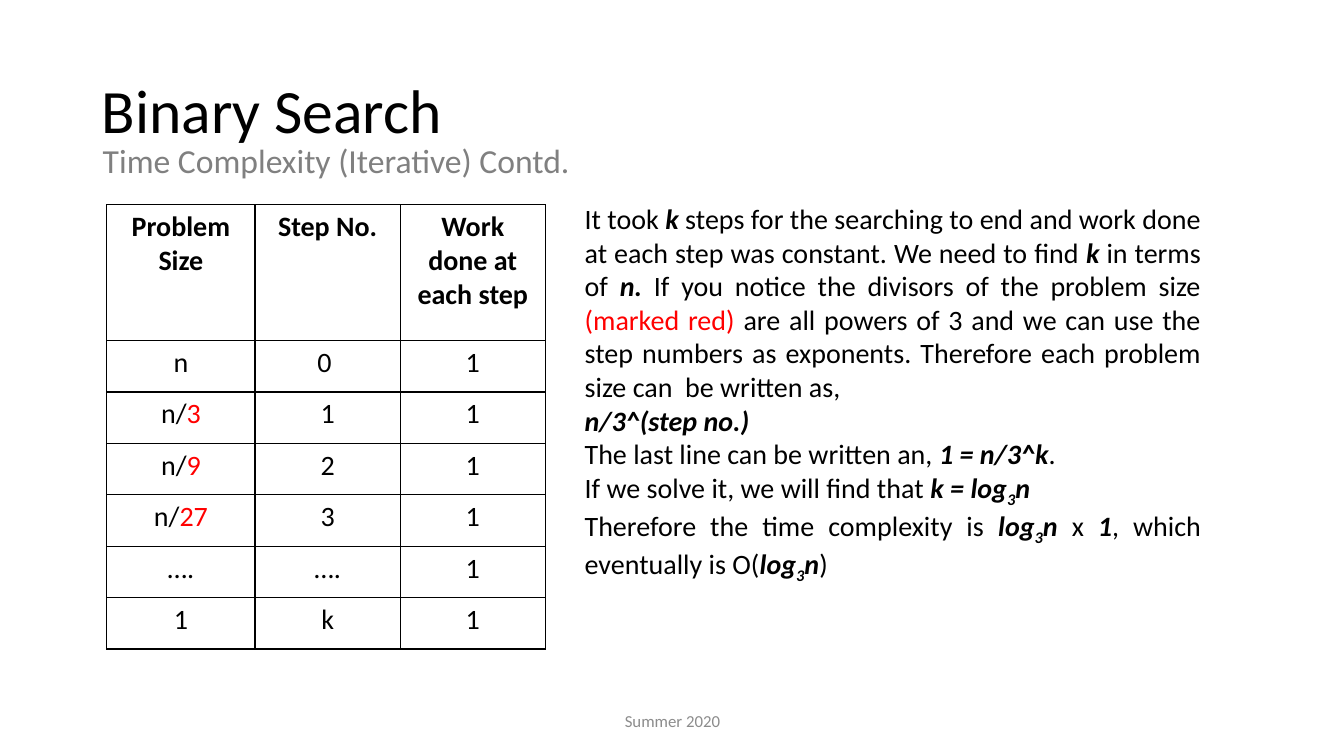
"""Build the binary search time complexity slide."""
from dataclasses import dataclass

from lxml.etree import SubElement
from pptx import Presentation
from pptx.dml.color import RGBColor
from pptx.enum.text import MSO_ANCHOR as Anchor, PP_ALIGN as Align
from pptx.oxml.ns import qn
from pptx.slide import Slide
from pptx.table import _Cell as Cell
from pptx.text.text import TextFrame, _Paragraph as Paragraph
from pptx.util import Emu, Pt

EMU_PER_PX = 9144
FONT = "Calibri"
BLACK = RGBColor(0x00, 0x00, 0x00)
RED = RGBColor(0xFF, 0x00, 0x00)
GRAY = RGBColor(0x80, 0x80, 0x80)
FOOTER_GRAY = RGBColor(0x8C, 0x8C, 0x8C)


@dataclass(frozen=True)
class Span:
    """A stretch of text in one style."""
    text: str
    color: RGBColor = BLACK
    bold: bool = False
    italic: bool = False
    subscript: bool = False


@dataclass(frozen=True)
class Block:
    """A text box with its place and paragraph style."""
    left: int
    top: int
    width: int
    height: int
    size: int
    paragraphs: list[list[Span]]
    align: Align = Align.LEFT
    anchor: Anchor = Anchor.TOP
    line_spacing: float = 1.0
    space_before: int = 0


def px(length: int) -> Emu:
    """Turn px into EMU."""
    return Emu(length * EMU_PER_PX)


def math(text: str) -> Span:
    """Style a formula in bold italics."""
    return Span(text, bold=True, italic=True)


def log_base_3(lead: str = "log", argument: str = "n") -> list[Span]:
    """Spell a logarithm with the base 3 as a subscript."""
    return [math(lead), Span("3", bold=True, italic=True, subscript=True), math(argument)]


def divided(divisor: str) -> list[Span]:
    """Spell a problem size with its divisor in red."""
    return [Span("n/"), Span(divisor, RED)]


def add_spans(paragraph: Paragraph, spans: list[Span], size: int) -> None:
    """Add styled runs to a paragraph."""
    for span in spans:
        run = paragraph.add_run()
        run.text = span.text
        run.font.name = FONT
        run.font.size = Pt(size)
        run.font.bold = span.bold
        run.font.italic = span.italic
        run.font.color.rgb = span.color
        if span.subscript:
            run._r.get_or_add_rPr().set("baseline", "-25000")


def add_block(slide: Slide, block: Block) -> None:
    """Draw one text box."""
    box = slide.shapes.add_textbox(px(block.left), px(block.top), px(block.width), px(block.height))
    frame: TextFrame = box.text_frame
    frame.word_wrap = True
    frame.vertical_anchor = block.anchor
    for index, spans in enumerate(block.paragraphs):
        paragraph = frame.add_paragraph() if index else frame.paragraphs[0]
        paragraph.alignment = block.align
        paragraph.line_spacing = block.line_spacing
        paragraph.space_before = Pt(block.space_before)
        add_spans(paragraph, spans, block.size)


def add_borders(cell: Cell) -> None:
    """Rule all four sides of a cell in black."""
    properties = cell._tc.get_or_add_tcPr()
    for side in ("a:lnL", "a:lnR", "a:lnT", "a:lnB"):
        line = SubElement(properties, qn(side), w=str(Pt(1)))
        fill = SubElement(line, qn("a:solidFill"))
        SubElement(fill, qn("a:srgbClr"), val=str(BLACK))


def add_steps_table(slide: Slide) -> None:
    """Draw the table of problem sizes and steps."""
    table = slide.shapes.add_table(
        len(STEPS), len(COLUMN_WIDTHS), px(106), px(203), px(sum(COLUMN_WIDTHS)), px(sum(ROW_HEIGHTS))
    ).table
    table.first_row = table.horz_banding = False
    for column, width in zip(table.columns, COLUMN_WIDTHS):
        column.width = px(width)
    for row, height, contents in zip(table.rows, ROW_HEIGHTS, STEPS):
        row.height = px(height)
        for cell, spans in zip(row.cells, contents):
            add_borders(cell)
            cell.fill.background()
            paragraph = cell.text_frame.paragraphs[0]
            paragraph.alignment = Align.CENTER
            add_spans(paragraph, spans, 20)


HEADINGS = ["Problem Size", "Step No.", "Work done at each step"]
SIZES_AND_STEPS = [
    ([Span("n")], "0 "),
    (divided("3"), "1"),
    (divided("9"), "2"),
    (divided("27"), "3"),
    ([Span("….")], "…."),
    ([Span("1")], "k"),
]
STEPS = [[[Span(heading, bold=True)] for heading in HEADINGS]] + [
    [size, [Span(step)], [Span("1")]] for size, step in SIZES_AND_STEPS
]
COLUMN_WIDTHS = [147, 144, 144]
ROW_HEIGHTS = [135] + [51] * len(SIZES_AND_STEPS)

EXPLANATION = [
    [
        Span("It took "), math("k"),
        Span(" steps for the searching to end and work done at each step was constant. We need to find "),
        math("k"), Span(" in terms of "), math("n. "),
        Span("If you notice the divisors of the problem size "), Span("(marked red)", RED),
        Span(" are all powers of 3 and we can use the step numbers as exponents. "
             "Therefore each problem size can  be written as, "),
    ],
    [math("n/3^(step no.)")],
    [Span("The last line can be written an, "), math("1 = n/3^k"), Span(".")],
    [Span("If we solve it, we will find that "), *log_base_3("k = log")],
    [
        Span("Therefore the time complexity is "), *log_base_3(argument="n "), Span("x "), math("1"),
        Span(", which eventually is O("), *log_base_3(), Span(")"),
    ],
]

BLOCKS = [
    Block(442, 695, 450, 40, 12, [[Span("Summer 2020", FOOTER_GRAY)]], Align.CENTER, Anchor.MIDDLE),
    Block(91, 75, 551, 87, 44, [[Span("Binary Search")]], line_spacing=0.9),
    Block(92, 138, 501, 62, 24, [[Span("Time Complexity (Iterative) Contd.", GRAY)]],
          line_spacing=0.9, space_before=10),
    Block(570, 195, 631, 414, 20, EXPLANATION, Align.JUSTIFY),
]


def main() -> None:
    """Build and save the slide."""
    presentation = Presentation()
    presentation.slide_width = px(1333)
    presentation.slide_height = px(750)
    slide = presentation.slides.add_slide(presentation.slide_layouts[6])
    for block in BLOCKS:
        add_block(slide, block)
    add_steps_table(slide)
    presentation.save("out.pptx")


if __name__ == "__main__":
    main()
